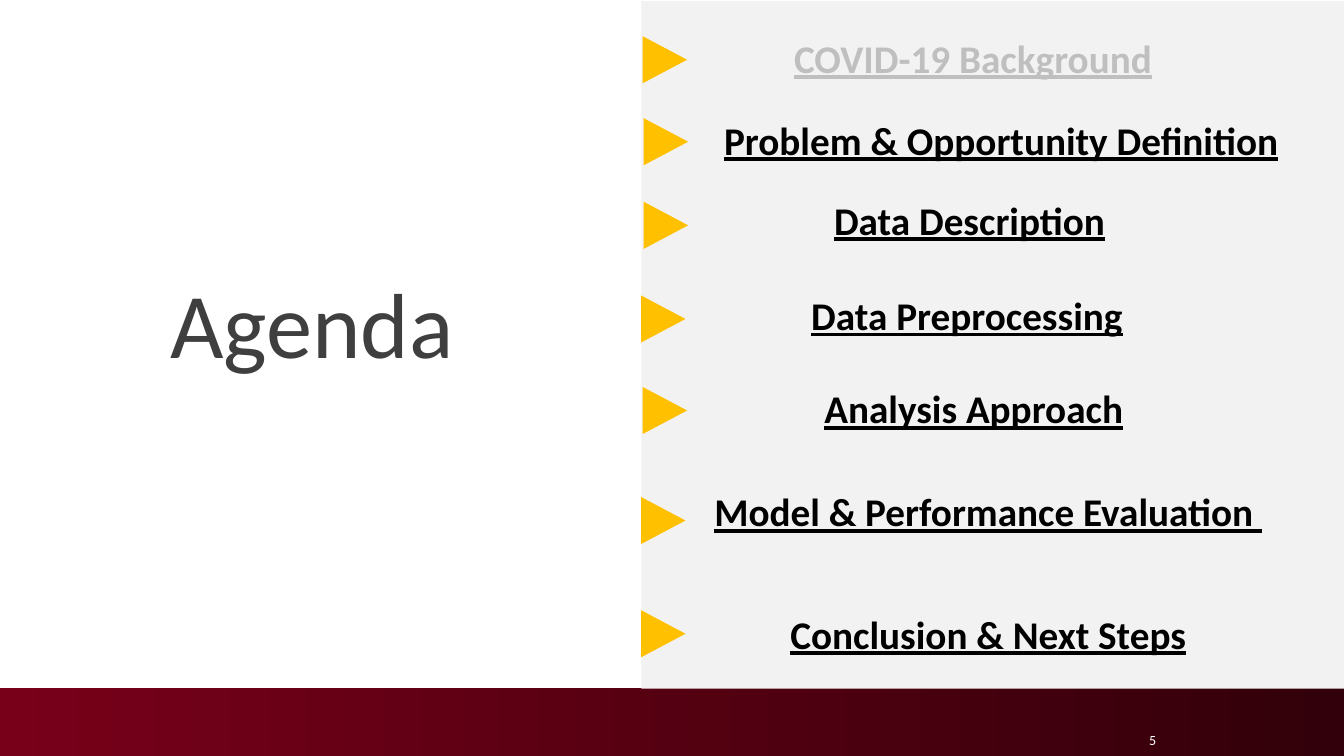
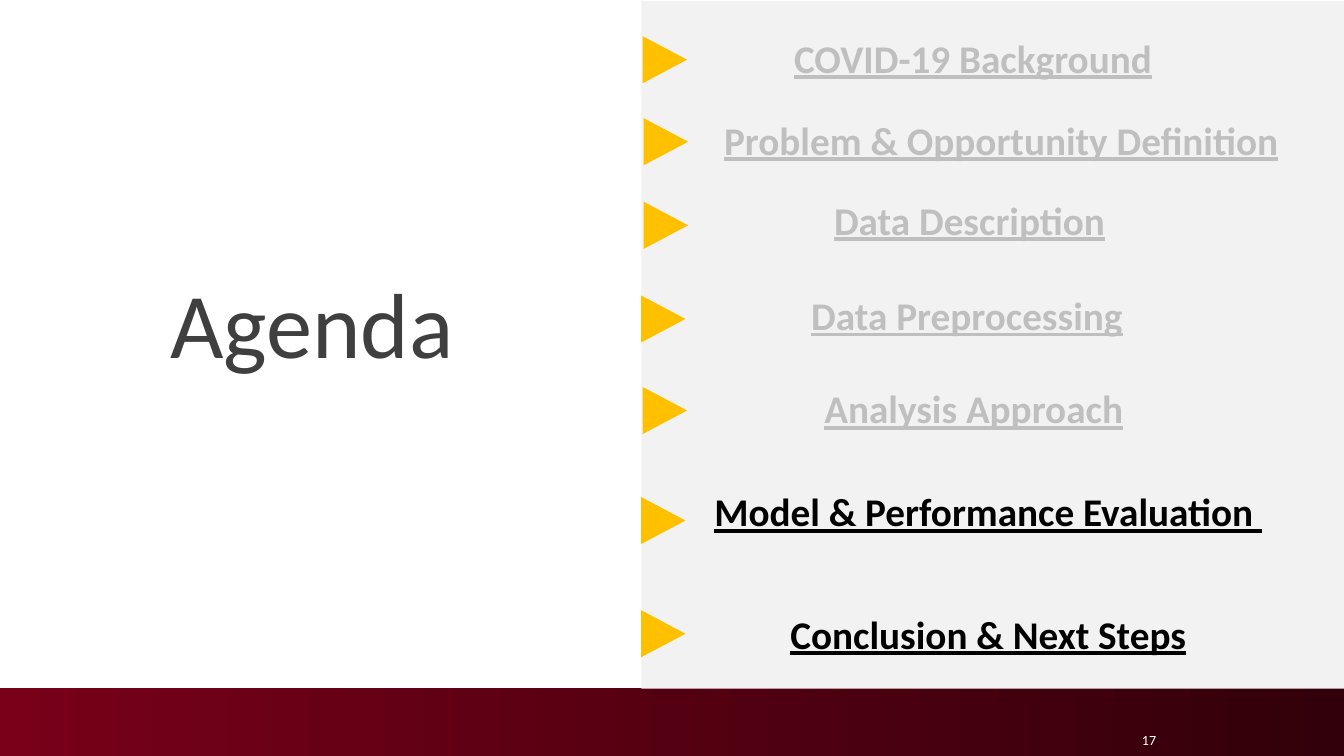
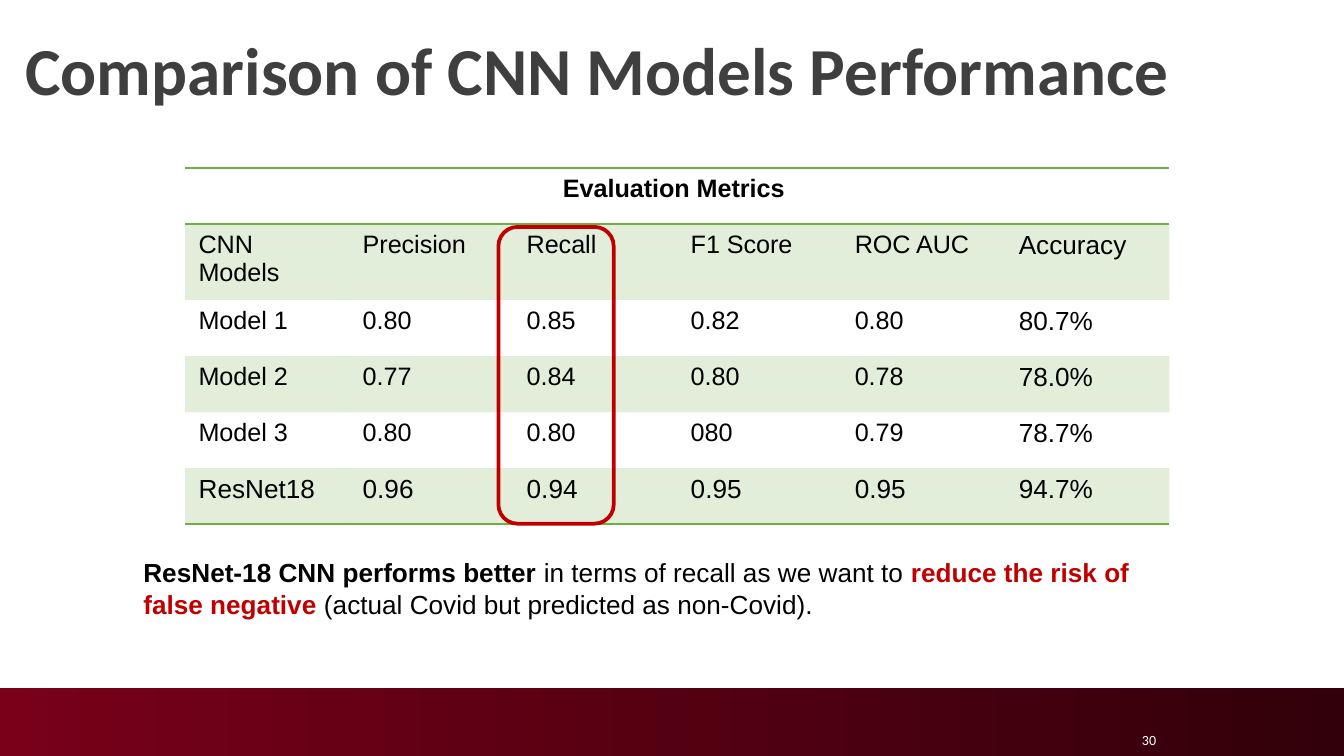
import pptx
import pptx.dml.color
import pptx.enum.dml
import pptx.enum.shapes
import pptx.enum.text
import pptx.oxml
import pptx.oxml.ns
import pptx.util
from lxml import etree

Cm, Pt = pptx.util.Cm, pptx.util.Pt
SHAPE = pptx.enum.shapes.MSO_SHAPE
ALIGN = pptx.enum.text.PP_ALIGN
ANCHOR = pptx.enum.text.MSO_ANCHOR
qn = pptx.oxml.ns.qn

BLACK, WHITE, GREY, DARK = "000000", "FFFFFF", "BFBFBF", "3F3F3F"
PANEL, YELLOW, GREEN, RED = "F2F2F2", "FFC000", "70AD47", "C00000"
BAND = ("780019", "32000A")
TIGHT = (0.18, 0.1)
NO_GRID_STYLE = "{2D5ABB26-0587-4C30-8999-92F81FD0307C}"

# topic, arrow (left, top), text (left, top, width)
AGENDA = [
    ("COVID-19 Background", (12.12, 0.71), (13.87, 0.51, 9.04)),
    ("Problem & Opportunity Definition", (12.14, 2.26), (12.98, 2.06, 11.89)),
    ("Data Description", (12.14, 3.84), (12.7, 3.58, 11.25)),
    ("Data Preprocessing", (12.09, 5.61), (12.65, 5.38, 11.25)),
    ("Analysis Approach", (12.12, 7.34), (12.78, 7.14, 11.25)),
    ("Model & Performance Evaluation ", (12.09, 9.42), (12.04, 9.09, 13.28)),
    ("Conclusion & Next Steps", (12.09, 11.56), (12.04, 11.4, 13.28)),
]
AGENDA_PAGES = [("5", 1), ("17", 5)]  # page number, topics already covered

METRICS_TITLE = "Evaluation Metrics "
METRICS = [
    ("CNN Models", "Precision", "Recall", "F1 Score", "ROC AUC", "Accuracy"),
    ("Model 1", "0.80", "0.85", "0.82", "0.80", "80.7%"),
    ("Model 2", "0.77", "0.84", "0.80", "0.78", "78.0%"),
    ("Model 3", "0.80", "0.80", "080", "0.79", "78.7%"),
    ("ResNet18", "0.96", "0.94", "0.95", "0.95", "94.7%"),
]
ROW_HEIGHTS = (1.06, 1.44, 1.06, 1.06, 1.06, 1.06)
COL_WIDTH = 3.1

CONCLUSION = [  # text, colour, bold
    ("ResNet-18 CNN performs better ", BLACK, True),
    ("in terms of recall as we want to ", BLACK, False),
    ("reduce the risk of false negative ", RED, True),
    ("(actual Covid but predicted as non-Covid).", BLACK, False),
]


def rgb(color):
    return pptx.dml.color.RGBColor.from_string(color)


def style(r, size, color, font="Calibri", bold=False, underline=False):
    r.font.size, r.font.name = Pt(size), font
    r.font.bold, r.font.underline = bold, underline
    r.font.color.rgb = rgb(color)


def add_shape(slide, kind, box, fill=None):
    s = slide.shapes.add_shape(kind, *map(Cm, box))
    s.shadow.inherit = False
    s.line.fill.background()
    if fill:
        s.fill.solid()
        s.fill.fore_color.rgb = rgb(fill)
    else:
        s.fill.background()
    return s


def add_text(slide, box, text, size, color, align=ALIGN.LEFT, anchor=ANCHOR.TOP,
             insets=(0.25, 0.13), spacing=None, **look):
    tf = slide.shapes.add_textbox(*map(Cm, box)).text_frame
    tf.word_wrap = True
    tf.vertical_anchor = anchor
    tf.margin_left = tf.margin_right = Cm(insets[0])
    tf.margin_top = tf.margin_bottom = Cm(insets[1])
    tf.text = text
    p = tf.paragraphs[0]
    p.alignment = align
    p.line_spacing = spacing
    for r in p.runs:
        style(r, size, color, **look)
    return p


def add_title(slide, box, text, size, **look):
    add_text(slide, box, text, size, DARK, anchor=ANCHOR.MIDDLE, insets=TIGHT,
             spacing=0.9, **look)


def add_page(prs, number):
    """Add a blank slide with the gradient band and its page number."""
    slide = prs.slides.add_slide(prs.slide_layouts[6])
    band = add_shape(slide, SHAPE.RECTANGLE, (0, 13.01, 25.4, 1.28))
    band.fill.gradient()
    band.fill.gradient_angle = 0
    for stop, color in zip(band.fill.gradient_stops, BAND):
        stop.color.rgb = rgb(color)
    add_text(slide, (21.29, 13.44, 0.81, 0.76), number, 7.5, WHITE, ALIGN.RIGHT,
             ANCHOR.BOTTOM, insets=(0.25, 0.05))
    return slide


def add_agenda(prs, number, covered):
    slide = add_page(prs, number)
    add_shape(slide, SHAPE.RECTANGLE, (12.12, 0.02, 13.28, 13), PANEL)
    add_title(slide, (0, 2.51, 11.79, 7.42), "Agenda", 49.5, align=ALIGN.CENTER)
    for i, (topic, arrow_at, (left, top, width)) in enumerate(AGENDA):
        arrow = add_shape(slide, SHAPE.ISOSCELES_TRIANGLE, (*arrow_at, 0.89, 0.84), YELLOW)
        arrow.rotation = 90
        add_text(slide, (left, top, width, 1.14), topic, 21,
                 GREY if i < covered else BLACK, ALIGN.CENTER, bold=True, underline=True)


def rule_cell(cell, sides):
    """Draw a thin green line on the given sides, "T" before "B"."""
    tcPr = cell._tc.get_or_add_tcPr()
    for i, side in enumerate(sides):
        ln = etree.Element(qn("a:ln" + side), w=str(Pt(1)))
        fill = etree.SubElement(ln, qn("a:solidFill"))
        etree.SubElement(fill, qn("a:srgbClr"), val=GREEN)
        tcPr.insert(i, ln)


def tint_cell(cell):
    cell.fill.solid()
    cell.fill.fore_color.rgb = rgb(GREEN)
    color = next(cell._tc.tcPr.iter(qn("a:srgbClr")))
    etree.SubElement(color, qn("a:alpha"), val="20000")


def add_metrics(slide):
    cols, last = len(METRICS[0]), len(METRICS)
    frame = slide.shapes.add_table(last + 1, cols, Cm(3.5), Cm(3.17),
                                   Cm(COL_WIDTH * cols), Cm(sum(ROW_HEIGHTS)))
    next(frame._element.iter(qn("a:tableStyleId"))).text = NO_GRID_STYLE
    table = frame.table
    table.first_row = table.horz_banding = False
    for row, height in zip(table.rows, ROW_HEIGHTS):
        row.height = Cm(height)
    for col in table.columns:
        col.width = Cm(COL_WIDTH)

    title = table.cell(0, 1)
    title.merge(table.cell(0, cols - 2))
    title.text = METRICS_TITLE
    p = title.text_frame.paragraphs[0]
    p.alignment = ALIGN.CENTER
    style(p.runs[0], 13.5, BLACK, "Arial", bold=True)

    for i, values in enumerate(METRICS, 1):
        for j, value in enumerate(values):
            cell = table.cell(i, j)
            cell.text = value
            size = 14 if i == last or j == cols - 1 else 13.5
            style(cell.text_frame.paragraphs[0].runs[0], size, BLACK, "Arial")
    for i in range(last + 1):
        for j in range(cols):
            cell = table.cell(i, j)
            if i % 2:
                tint_cell(cell)
            else:
                cell.fill.background()
            rule_cell(cell, {0: "TB", last: "B"}.get(i, ""))
    for j in range(cols):
        if last % 2:
            table.cell(last, j).fill.fore_color


def add_comparison(prs, number):
    slide = add_page(prs, number)
    add_title(slide, (0.3, 0.1, 24.69, 2.59), "Comparison of CNN Models Performance", 36,
              bold=True)
    add_metrics(slide)
    p = add_text(slide, (2.46, 10.39, 20.35, 1.45), "", 14, BLACK)
    for text, color, bold in CONCLUSION:
        r = p.add_run()
        r.text = text
        style(r, 14, color, "Arial", bold=bold)
    recall_frame = add_shape(slide, SHAPE.ROUNDED_RECTANGLE, (9.42, 4.29, 2.18, 5.61))
    recall_frame.line.color.rgb = rgb(RED)
    recall_frame.line.width = Pt(2)


def main():
    prs = pptx.Presentation()
    prs.slide_width, prs.slide_height = Cm(25.4), Cm(14.29)
    for number, covered in AGENDA_PAGES:
        add_agenda(prs, number, covered)
    add_comparison(prs, "30")
    prs.save("out.pptx")


if __name__ == "__main__":
    main()
